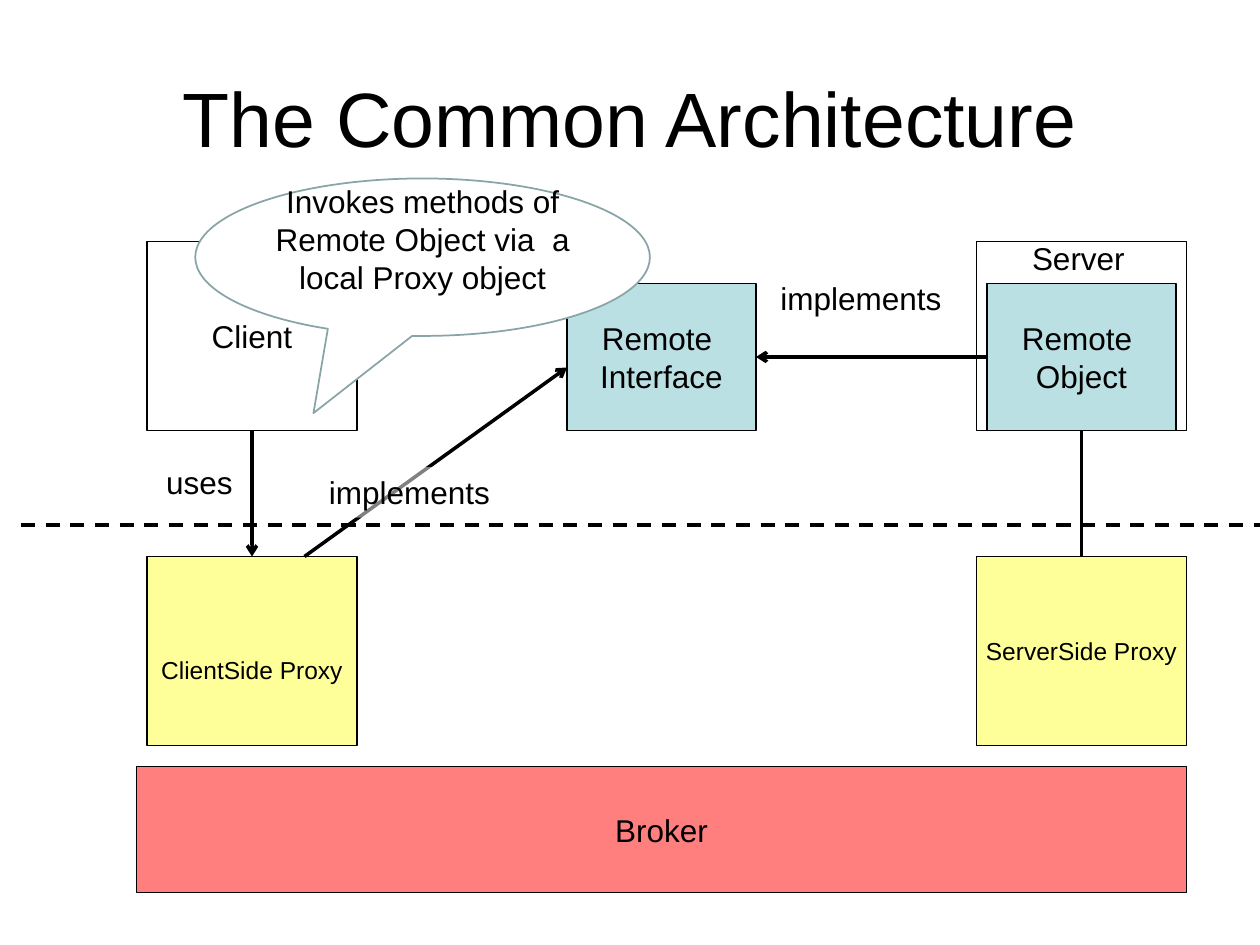
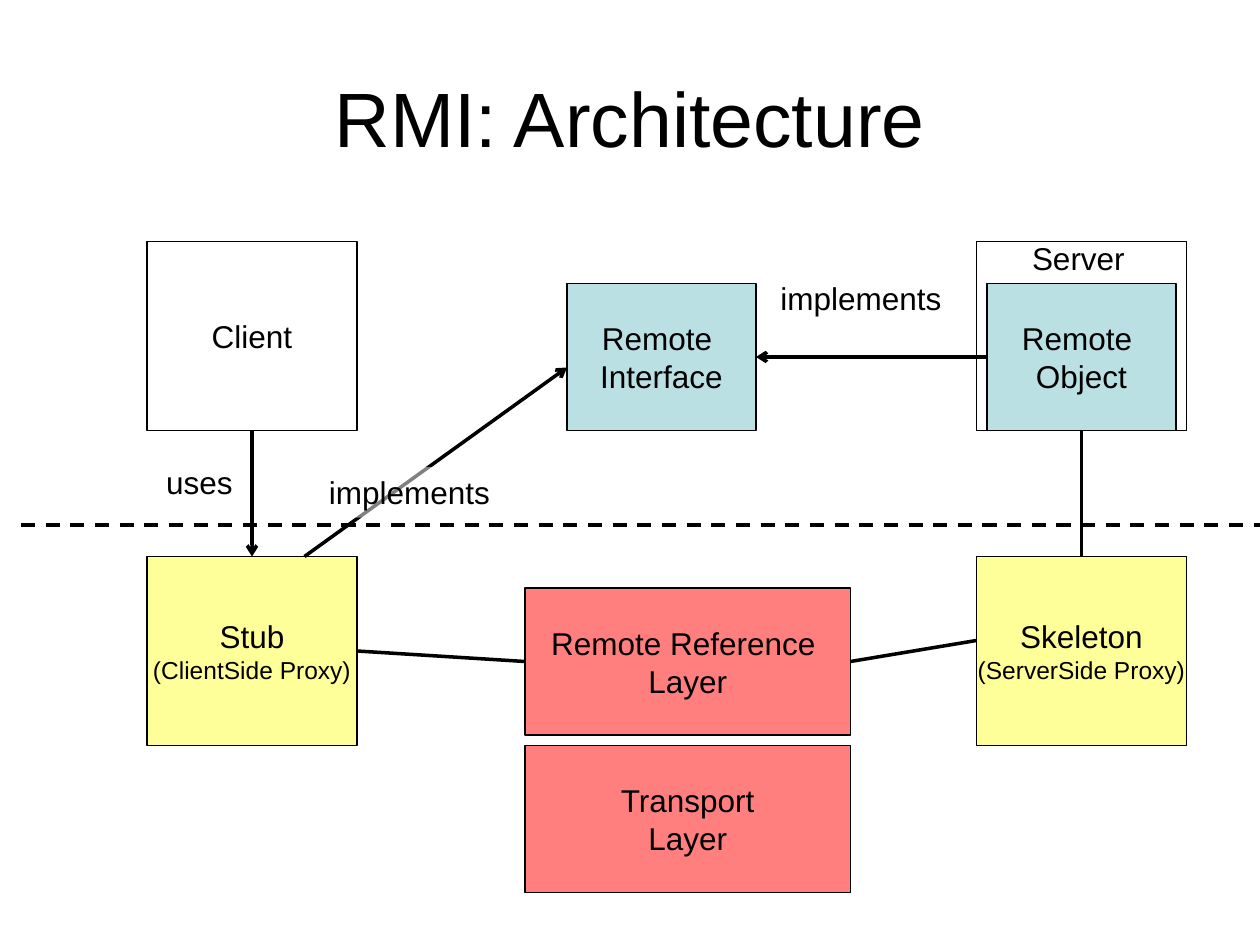
from dataclasses import dataclass
from typing import Optional

from lxml.etree import SubElement
from pptx import Presentation
from pptx.dml.color import RGBColor
from pptx.enum.dml import MSO_LINE
from pptx.enum.shapes import MSO_CONNECTOR, MSO_SHAPE
from pptx.enum.text import MSO_ANCHOR, MSO_AUTO_SIZE, PP_ALIGN
from pptx.oxml.ns import qn
from pptx.util import Inches, Pt

BLACK = RGBColor(0x00, 0x00, 0x00)
WHITE = RGBColor(0xFF, 0xFF, 0xFF)
REMOTE_BLUE = RGBColor(0xBB, 0xE0, 0xE3)
PROXY_YELLOW = RGBColor(0xFF, 0xFF, 0x99)
LAYER_RED = RGBColor(0xFF, 0x00, 0x00)
CALLOUT_GREY = RGBColor(0x89, 0xA4, 0xA7)

FONT = "Arial"
TITLE_SIZE, BODY_SIZE, NOTE_SIZE = 44, 18, 14
SLIDE_W, SLIDE_H = Inches(10), Inches(7.5)
COLUMNS = 120  # square cells, so the slide is 90 rows high
CELL = SLIDE_W // COLUMNS
LABEL_ROWS = 4.8
BODY_LINE = 0.29  # inches taken by one line of body text


@dataclass(frozen=True)
class Line:
    text: str
    size: int = BODY_SIZE


@dataclass(frozen=True)
class Box:
    col: float
    row: float
    cols: float
    rows: float
    lines: tuple[Line, ...] = ()
    fill: Optional[RGBColor] = None
    opacity: int = 100
    lowered: float = 0


@dataclass(frozen=True)
class Label:
    text: str
    center: float
    row: float
    cols: float
    veiled: bool = False


@dataclass(frozen=True)
class Link:
    start: tuple[float, float]
    end: tuple[float, float]
    arrow: bool = False
    dashed: bool = False


def cells(*counts: float) -> list[int]:
    return [round(n * CELL) for n in counts]


def write(tf, lines: tuple[Line, ...]) -> None:
    for i, line in enumerate(lines):
        p = tf.add_paragraph() if i else tf.paragraphs[0]
        p.alignment = PP_ALIGN.CENTER
        r = p.add_run()
        r.text = line.text
        r.font.name, r.font.size = FONT, Pt(line.size)
        r.font.color.rgb = BLACK


def paint(sp, color: Optional[RGBColor], opacity: int = 100) -> None:
    """Fill a shape, or clear its fill when there is no colour."""
    if color is None:
        sp.fill.background()
        return
    sp.fill.solid()
    sp.fill.fore_color.rgb = color
    if opacity < 100:
        clr = sp._element.spPr.find(f"{qn('a:solidFill')}/{qn('a:srgbClr')}")
        SubElement(clr, qn("a:alpha"), val=str(opacity * 1000))


def draw_box(s, box: Box) -> None:
    sp = s.shapes.add_shape(MSO_SHAPE.RECTANGLE,
                            *cells(box.col, box.row, box.cols, box.rows))
    sp.shadow.inherit = False
    paint(sp, box.fill, box.opacity)
    sp.line.color.rgb, sp.line.width = BLACK, Pt(0.75)
    tf = sp.text_frame
    tf.word_wrap = False
    tf.vertical_anchor = MSO_ANCHOR.MIDDLE
    tf.margin_top = Inches(0.05 + box.lowered)
    write(tf, box.lines)


def draw_label(s, label: Label) -> None:
    sp = s.shapes.add_textbox(*cells(label.center - label.cols / 2, label.row,
                                     label.cols, LABEL_ROWS))
    if label.veiled:
        paint(sp, WHITE, 50)
    tf = sp.text_frame
    tf.word_wrap = False
    tf.auto_size = MSO_AUTO_SIZE.SHAPE_TO_FIT_TEXT
    write(tf, (Line(label.text),))


def draw_link(s, link: Link) -> None:
    cn = s.shapes.add_connector(MSO_CONNECTOR.STRAIGHT,
                                *cells(*link.start, *link.end))
    cn.line.color.rgb, cn.line.width = BLACK, Pt(2)
    if link.dashed:
        cn.line.dash_style = MSO_LINE.DASH
    if link.arrow:
        SubElement(cn.line._get_or_add_ln(), qn("a:tailEnd"), type="arrow")
    SubElement(cn._element.spPr, qn("a:effectLst"))


def draw_callout(s, text: str) -> None:
    sp = s.shapes.add_shape(MSO_SHAPE.OVAL_CALLOUT, *cells(18.6, 17, 43.3, 15))
    sp.adjustments[0], sp.adjustments[1] = -0.24, 0.99
    sp.shadow.inherit = False
    paint(sp, WHITE)
    sp.line.color.rgb, sp.line.width = CALLOUT_GREY, Pt(1)
    tf = sp.text_frame
    tf.word_wrap = True
    tf.vertical_anchor = MSO_ANCHOR.MIDDLE
    tf.margin_bottom = Inches(0.05 + BODY_LINE)
    write(tf, (Line(text),))


def proxy(col: float, *lines: Line, lowered: float = 0) -> Box:
    return Box(col, 53, 20, 18, lines, PROXY_YELLOW, lowered=lowered)


def remote(col: float, name: str) -> Box:
    return Box(col, 27, 18, 14, (Line("Remote "), Line(name)), REMOTE_BLUE)


def layer(row: float, name: str) -> Box:
    return Box(50, row, 31, 14, (Line(name), Line("Layer")), LAYER_RED, 50)


SHARED_BOXES = (
    Box(14, 23, 20, 18, (Line("Client"),)),
    remote(54, "Interface"),
    remote(94, "Object"),
    Box(93, 23, 20, 18),
)
SHARED_LINKS = (
    Link((24, 41), (24, 53), arrow=True),
    Link((29, 53), (54, 35), arrow=True),
    Link((94, 34), (72, 34), arrow=True),
    Link((2, 50), (COLUMNS, 50), dashed=True),
    Link((103, 41), (103, 53)),
)
SHARED_LABELS = (
    Label("uses", 19, 43.5, 8.8),
    Label("implements", 39, 44.5, 17.8, veiled=True),
    Label("implements", 82, 26, 17.8, veiled=True),
    Label("Server", 102.7, 22.2, 11.2),
)


def add_architecture(prs, title: str, boxes: tuple[Box, ...],
                     links: tuple[Link, ...] = ()):
    """Add a slide with the shared client-server diagram and its own parts."""
    s = prs.slides.add_slide(prs.slide_layouts[5])
    sp = s.shapes.title
    sp.left, sp.top, sp.width, sp.height = cells(6, 3.6, 108, 15)
    tf = sp.text_frame
    tf.auto_size = MSO_AUTO_SIZE.NONE
    tf.vertical_anchor = MSO_ANCHOR.MIDDLE
    write(tf, (Line(title, TITLE_SIZE),))
    for box in SHARED_BOXES + boxes:
        draw_box(s, box)
    for link in SHARED_LINKS + links:
        draw_link(s, link)
    for label in SHARED_LABELS:
        draw_label(s, label)
    return s


def main() -> None:
    prs = Presentation()
    prs.slide_width, prs.slide_height = SLIDE_W, SLIDE_H

    s = add_architecture(prs, "The Common Architecture", (
        proxy(14, Line("ClientSide Proxy", NOTE_SIZE), lowered=BODY_LINE),
        proxy(93, Line("ServerSide Proxy", NOTE_SIZE)),
        Box(13, 73, 100, 12, (Line("Broker"),), LAYER_RED, 50),
    ))
    draw_callout(s, "Invokes methods of Remote Object via  a local Proxy object")

    add_architecture(prs, "RMI: Architecture", (
        proxy(14, Line("Stub"), Line("(ClientSide Proxy)", NOTE_SIZE)),
        proxy(93, Line("Skeleton"), Line("(ServerSide Proxy)", NOTE_SIZE)),
        layer(56, "Remote Reference "),
        layer(71, "Transport"),
    ), (
        Link((34, 62), (50, 63)),
        Link((81, 63), (93, 61)),
    ))

    prs.save("out.pptx")


if __name__ == "__main__":
    main()
